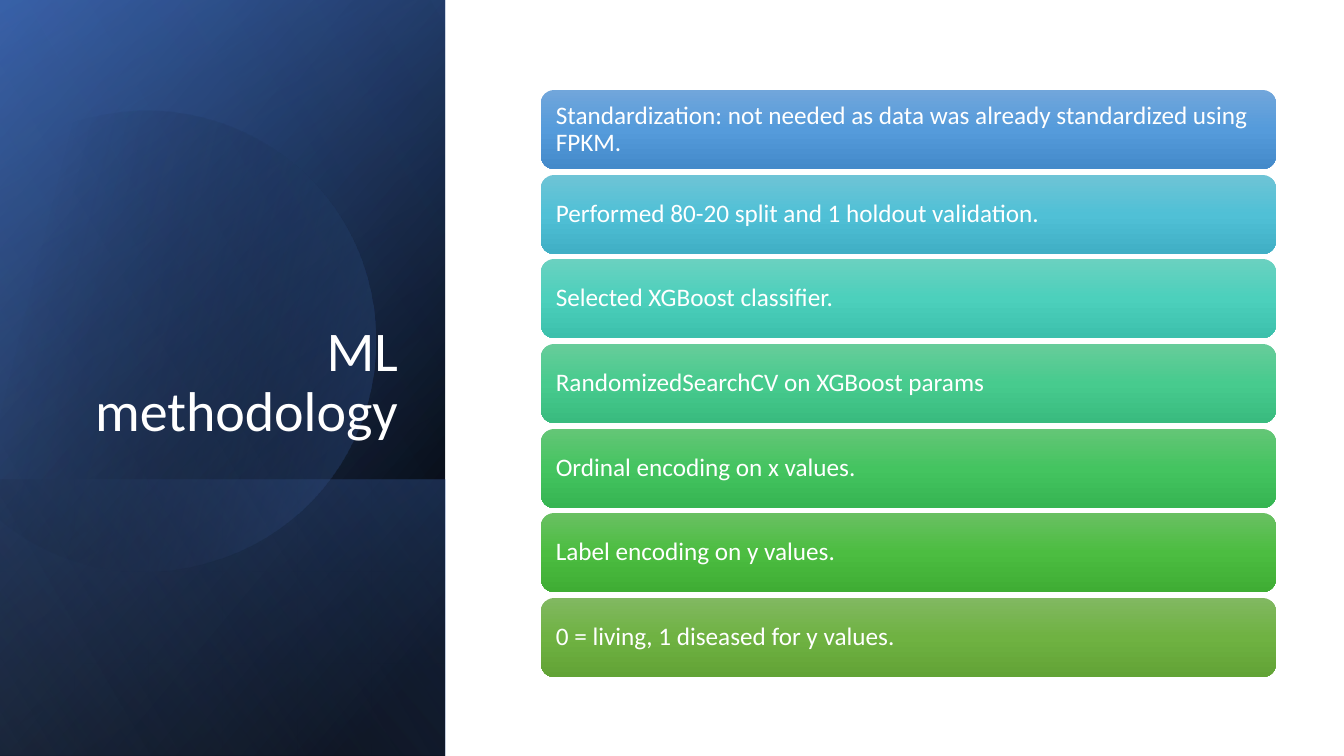
from math import cos, radians, sin

from pptx import Presentation
from pptx.dml.color import RGBColor
from pptx.enum.shapes import MSO_SHAPE
from pptx.enum.text import MSO_ANCHOR, MSO_AUTO_SIZE, PP_ALIGN
from pptx.oxml import parse_xml
from pptx.oxml.ns import nsdecls
from pptx.util import Emu, Pt

SCALE = 914400 / 100.8
WIDE, HIGH = 1344, 756
PANEL = 445
FONT = "Calibri"

WHITE = RGBColor(0xFF, 0xFF, 0xFF)
BLACK = RGBColor(0x00, 0x00, 0x00)
NAVY = RGBColor(0x2F, 0x55, 0x97)
BLUE = RGBColor(0x44, 0x72, 0xC4)
PALE = RGBColor(0x8F, 0xAA, 0xDC)

# Each step: text, then the top, middle and bottom colours of its bar
STEPS = [
    ("Standardization: not needed as data was already standardized using FPKM.",
     RGBColor(0x71, 0xA6, 0xDB), RGBColor(0x55, 0x9B, 0xDB), RGBColor(0x44, 0x8A, 0xCA)),
    ("Performed 80-20 split and 1 holdout validation.",
     RGBColor(0x6E, 0xC4, 0xD6), RGBColor(0x50, 0xC0, 0xD6), RGBColor(0x40, 0xAF, 0xC5)),
    ("Selected XGBoost classifier.",
     RGBColor(0x6A, 0xD1, 0xC0), RGBColor(0x4C, 0xD0, 0xBC), RGBColor(0x3C, 0xC0, 0xAC)),
    ("RandomizedSearchCV on XGBoost params",
     RGBColor(0x67, 0xCC, 0x9A), RGBColor(0x47, 0xCB, 0x8E), RGBColor(0x39, 0xBB, 0x7F)),
    ("Ordinal encoding on x values.",
     RGBColor(0x64, 0xC6, 0x77), RGBColor(0x44, 0xC4, 0x60), RGBColor(0x36, 0xB5, 0x52)),
    ("Label encoding on y values.",
     RGBColor(0x69, 0xC0, 0x62), RGBColor(0x4C, 0xBD, 0x41), RGBColor(0x3F, 0xAD, 0x34)),
    ("0 = living, 1 diseased for y values.",
     RGBColor(0x81, 0xB8, 0x61), RGBColor(0x6F, 0xB2, 0x42), RGBColor(0x62, 0xA3, 0x36)),
]

# Outline of the disc: two numbers for a line, six for a Bezier curve
DISC = [
    (248, 113, 338, 178, 366, 277),
    (401, 400, 331, 527, 209, 562),
    (132, 585, 53, 566, -3, 518),
    (-15, 507), (-15, 176), (0, 162),
    (23, 143, 50, 129, 81, 120),
    (104, 114, 127, 111, 150, 111),
]
START = (150, 111)
HUB = (160, 337)
TILT = -16.1


def px(num):
    return Emu(round(num * SCALE))


def shade(shape, stops, angle):
    """Give a shape a linear gradient of (place, colour, opacity) stops, and no line."""
    shape.shadow.inherit = False
    shape.line.fill.background()
    shape.fill.background()
    marks = "".join(
        f'<a:gs pos="{place * 1000}"><a:srgbClr val="{color}">'
        f'<a:alpha val="{alpha * 1000}"/></a:srgbClr></a:gs>'
        for place, color, alpha in stops)
    grad = parse_xml(
        f'<a:gradFill {nsdecls("a")} rotWithShape="1"><a:gsLst>{marks}</a:gsLst>'
        f'<a:lin ang="{angle * 60000}" scaled="0"/></a:gradFill>')
    props = shape._element.spPr
    props.replace(props.find("{*}noFill"), grad)


def add_sheet(slide, top, stops, angle):
    """Lay a mirrored, quarter-turned sheet on the panel from top to the slide's foot."""
    tall = HIGH - top
    shift = (PANEL - tall) / 2
    sheet = slide.shapes.add_shape(
        MSO_SHAPE.RECTANGLE, px(shift), px(top - shift), px(tall), px(PANEL))
    sheet.rotation = 90
    sheet._element.spPr.xfrm.set("flipH", "1")
    shade(sheet, stops, angle)


def trace(start, parts, steps=24):
    """Turn lines and Bezier curves into a list of points."""
    points = [start]
    for part in parts:
        if len(part) == 2:
            points.append(part)
            continue
        knots = [points[-1], part[:2], part[2:4], part[4:]]
        for i in range(1, steps + 1):
            t = i / steps
            mix = ((1 - t) ** 3, 3 * t * (1 - t) ** 2, 3 * t * t * (1 - t), t ** 3)
            points.append(tuple(sum(m * k[axis] for m, k in zip(mix, knots))
                                for axis in (0, 1)))
    return points


def turn(point, angle):
    """Turn a point about the hub of the disc."""
    x, y = point[0] - HUB[0], point[1] - HUB[1]
    c, s = cos(radians(angle)), sin(radians(angle))
    return px(HUB[0] + x * c - y * s), px(HUB[1] + x * s + y * c)


def add_disc(slide):
    first, *rest = [turn(point, -TILT) for point in trace(START, DISC)]
    pen = slide.shapes.build_freeform(*first)
    pen.add_line_segments(rest, close=True)
    disc = pen.convert_to_shape()
    disc.rotation = TILT
    shade(disc, [(29, BLACK, 0), (100, BLUE, 43)], 30)


def write(frame, text, size, align, anchor):
    frame.word_wrap = True
    frame.auto_size = MSO_AUTO_SIZE.NONE
    frame.vertical_anchor = anchor
    para = frame.paragraphs[0]
    para.alignment = align
    para.line_spacing = 0.9
    run = para.add_run()
    run.text = text
    run.font.name = FONT
    run.font.size = Pt(size)
    run.font.color.rgb = WHITE


def set_title(slide, text):
    title = slide.shapes.title
    title.left, title.top, title.width, title.height = map(px, (65, 185, 343, 264))
    write(title.text_frame, text, 40, PP_ALIGN.RIGHT, MSO_ANCHOR.BOTTOM)
    slide.shapes._spTree.append(title._element)


def add_bar(slide, top, text, colors):
    bar = slide.shapes.add_shape(
        MSO_SHAPE.ROUNDED_RECTANGLE, px(541), px(top), px(735), px(79))
    shade(bar, [(place, color, 100) for place, color in zip((0, 50, 100), colors)], 90)
    frame = bar.text_frame
    frame.margin_left = frame.margin_right = px(11)
    frame.margin_top = frame.margin_bottom = px(11)
    write(frame, text, 18, PP_ALIGN.LEFT, MSO_ANCHOR.MIDDLE)


def main():
    deck = Presentation()
    deck.slide_width, deck.slide_height = px(WIDE), px(HIGH)
    slide = deck.slides.add_slide(deck.slide_layouts[5])

    add_sheet(slide, 0, [(8, BLACK, 100), (100, NAVY, 100)], 50)
    add_sheet(slide, 0, [(0, BLACK, 0), (99, BLUE, 46)], 30)
    add_sheet(slide, 480, [(2, BLUE, 29), (100, BLACK, 30)], 130)
    add_disc(slide)
    add_sheet(slide, 0, [(0, BLACK, 0), (99, PALE, 11)], 120)
    set_title(slide, "ML methodology")

    pitch = 508 / (len(STEPS) - 1)
    for i, (text, *colors) in enumerate(STEPS):
        add_bar(slide, round(90 + i * pitch), text, colors)
    deck.save("out.pptx")


if __name__ == "__main__":
    main()
